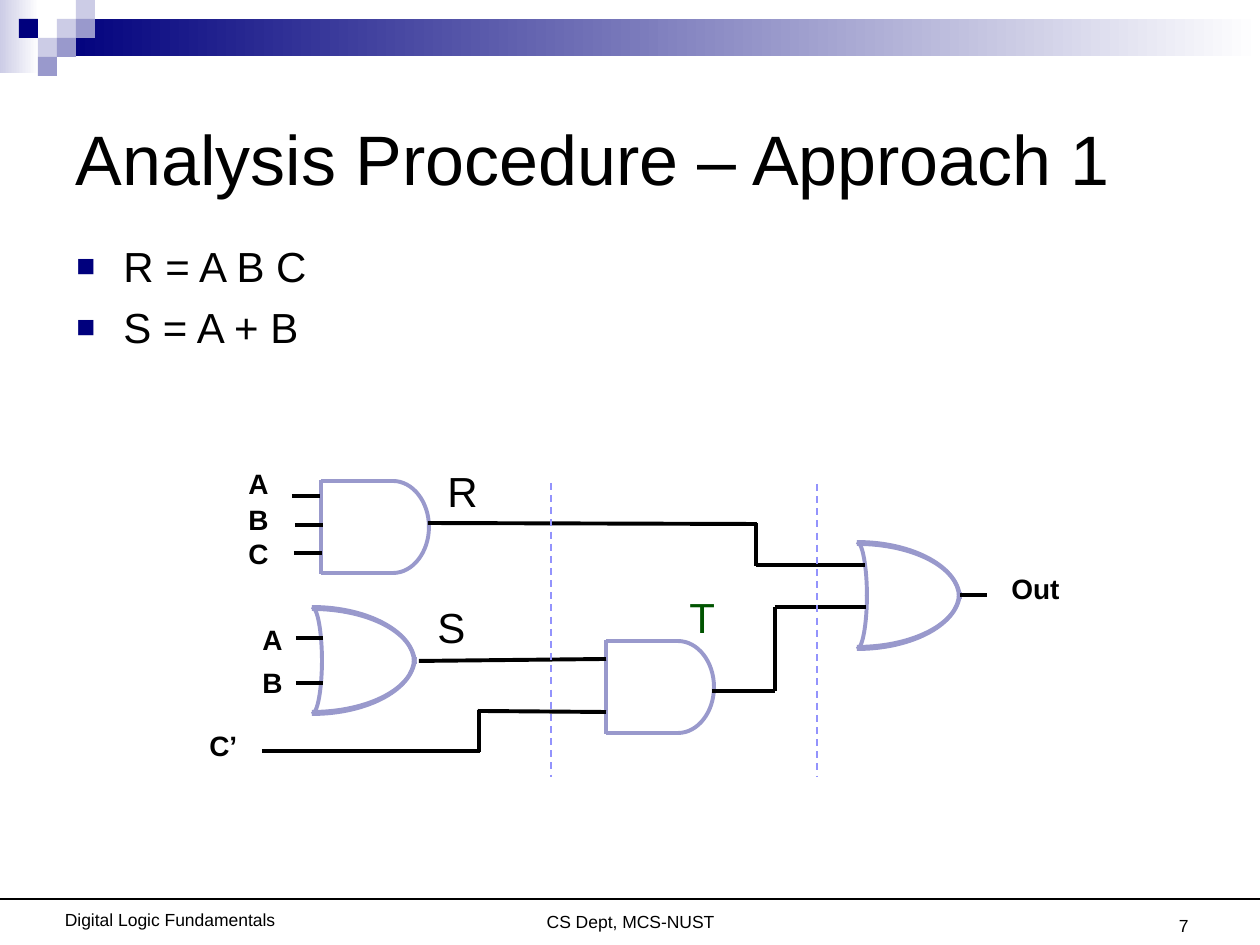
from typing import NamedTuple

import pptx
import pptx.dml.color
import pptx.enum.dml
import pptx.enum.shapes
import pptx.enum.text
import pptx.oxml
import pptx.oxml.ns
import pptx.util

EMU_PER_PX = 914400 / 126
FONT = "Arial"
COLORS = {
    "ink": "000000",
    "paper": "FFFFFF",
    "navy": "00007D",
    "lavender": "CCCCE6",
    "gate": "9999CC",
    "stage": "9393FC",
    "green": "005400",
}
ALIGN = pptx.enum.text.PP_ALIGN
ANCHOR = pptx.enum.text.MSO_ANCHOR
TILE = 19
CURVATURE = 0.55
OR_HEIGHT = 107
AND_WIDTH, AND_HEIGHT, AND_FLAT = 108, 92, 72


class Tile(NamedTuple):
    column: int
    row: int
    color: str


class Band(NamedTuple):
    left: int
    top: int
    width: int
    height: int
    start: str


class Wire(NamedTuple):
    x1: int
    y1: int
    x2: int
    y2: int
    color: str = "ink"
    weight: float = 2.25
    dashed: bool = False


class Arc(NamedTuple):
    left: int
    top: int
    width: int
    height: int
    upper: bool


class Label(NamedTuple):
    text: str
    left: int
    top: int
    width: int
    height: int
    size: int = 16
    bold: bool = True
    color: str = "ink"
    align: ALIGN = ALIGN.LEFT
    anchor: ANCHOR = ANCHOR.TOP
    wrap: bool = False
    inset_top: int = 6


TILES = [
    Tile(3, 1, "lavender"), Tile(4, 0, "lavender"), Tile(4, 1, "gate"),
    Tile(2, 2, "lavender"), Tile(1, 1, "navy"), Tile(3, 2, "gate"),
    Tile(2, 3, "gate"),
]
BANDS = [Band(0, 0, 39, 73, "lavender"), Band(57, 19, 1203, 37, "navy")]
OR_GATES = [(857, 542), (312, 607)]
AND_GATES = [(606, 641), (321, 481)]
WIRES = [
    Wire(0, 899, 1260, 899, weight=0.75),
    Wire(960, 595, 987, 595),
    Wire(292, 496, 320, 496), Wire(295, 525, 323, 525), Wire(294, 553, 322, 553),
    Wire(296, 638, 323, 638), Wire(296, 683, 323, 683),
    Wire(262, 751, 480, 751), Wire(479, 752, 479, 710), Wire(478, 711, 606, 712),
    Wire(419, 661, 606, 659),
    Wire(428, 523, 757, 524), Wire(756, 523, 756, 566), Wire(756, 565, 865, 565),
    Wire(712, 691, 775, 691), Wire(775, 691, 775, 607), Wire(775, 607, 866, 607),
    Wire(551, 483, 551, 777, "stage", 1, True),
    Wire(817, 484, 817, 777, "stage", 1, True),
]
LABELS = [
    Label("A", 236, 461, 45, 47), Label("B", 236, 497, 45, 47),
    Label("C", 236, 531, 45, 47), Label("A", 250, 617, 45, 47),
    Label("B", 250, 659, 45, 47), Label("C’", 197, 723, 53, 47),
    Label("Out", 999, 566, 73, 47),
    Label("R", 435, 460, 55, 63, 24, False),
    Label("S", 425, 596, 53, 63, 24, False),
    Label("T", 677, 586, 50, 63, 24, False, "green"),
    Label("CS Dept, MCS-NUST", 368, 863, 525, 63, 10, False,
          align=ALIGN.CENTER, wrap=True, inset_top=48),
    Label("Digital Logic Fundamentals", 44, 861, 252, 63, 10, False,
          align=ALIGN.CENTER, wrap=True, inset_top=48),
    Label("7", 907, 879, 294, 63, 10, False,
          align=ALIGN.RIGHT, anchor=ANCHOR.BOTTOM, wrap=True),
]
EQUATIONS = ["R = A B C", "S = A + B"]


def px(*lengths: float) -> list[int]:
    return [round(length * EMU_PER_PX) for length in lengths]


def rgb(name: str) -> pptx.dml.color.RGBColor:
    return pptx.dml.color.RGBColor.from_string(COLORS[name])


def style_text(paragraph, size: int, color: str = "ink", bold: bool = False) -> None:
    for run in paragraph.runs:
        run.font.name = FONT
        run.font.size = pptx.util.Pt(size)
        run.font.bold = bold
        run.font.color.rgb = rgb(color)


def draw_block(slide, left: int, top: int, width: int, height: int):
    block = slide.shapes.add_shape(
        pptx.enum.shapes.MSO_SHAPE.RECTANGLE, *px(left, top, width, height))
    block.shadow.inherit = False
    block.line.fill.background()
    return block


def draw_band(slide, band: Band) -> None:
    fill = draw_block(slide, *band[:4]).fill
    fill.gradient()
    fill.gradient_angle = 0
    for stop, color, position in zip(fill.gradient_stops, (band.start, "paper"), (0, 1)):
        stop.color.rgb = rgb(color)
        stop.position = position


def draw_tile(slide, tile: Tile) -> None:
    fill = draw_block(slide, tile.column * TILE, tile.row * TILE, TILE, TILE).fill
    fill.solid()
    fill.fore_color.rgb = rgb(tile.color)


def draw_wire(slide, wire: Wire) -> None:
    connector = slide.shapes.add_connector(
        pptx.enum.shapes.MSO_CONNECTOR.STRAIGHT, *px(*wire[:4]))
    connector.line.color.rgb = rgb(wire.color)
    connector.line.width = pptx.util.Pt(wire.weight)
    if wire.dashed:
        connector.line.dash_style = pptx.enum.dml.MSO_LINE.DASH
    connector._element.spPr.append(pptx.oxml.parse_xml(
        f'<a:effectLst {pptx.oxml.ns.nsdecls("a")}/>'))


def draw_arc(slide, arc: Arc) -> None:
    profile = [(0, 0), (CURVATURE, 0), (1, 1 - CURVATURE), (1, 1)]
    points = [px(arc.left + arc.width * x,
                 arc.top + arc.height * (y if arc.upper else 1 - y)) for x, y in profile]
    builder = slide.shapes.build_freeform(*points[0])
    builder.add_line_segments(points[1:], close=False)
    curve = builder.convert_to_shape()
    bezier = pptx.oxml.parse_xml(f'<a:cubicBezTo {pptx.oxml.ns.nsdecls("a")}/>')
    segments = list(curve._element.iter(pptx.oxml.ns.qn("a:lnTo")))
    segments[0].addprevious(bezier)
    for segment in segments:
        bezier.append(segment[0])
        segment.getparent().remove(segment)
    curve.shadow.inherit = False
    curve.fill.background()
    curve.line.color.rgb = rgb("gate")
    curve.line.width = pptx.util.Pt(2.25)


def draw_or_gate(slide, left: int, top: int) -> None:
    for inset, width, height in [(2, 102, 53), (0, 103, 57), (0, 10, 55)]:
        draw_arc(slide, Arc(left, top + inset, width, height, True))
        lower_top = top + OR_HEIGHT - inset - height
        draw_arc(slide, Arc(left, lower_top, width, height, False))


def draw_and_gate(slide, left: int, top: int) -> None:
    bottom, shoulder = top + AND_HEIGHT, left + AND_FLAT
    for y in (top, bottom):
        draw_wire(slide, Wire(left, y, shoulder, y, "gate"))
    draw_wire(slide, Wire(left, bottom + 1, left, top - 1, "gate"))
    half = AND_HEIGHT // 2
    for y, upper in [(top, True), (top + half, False)]:
        draw_arc(slide, Arc(shoulder, y, AND_WIDTH - AND_FLAT, half, upper))


def draw_label(slide, label: Label) -> None:
    frame = slide.shapes.add_textbox(*px(*label[1:5])).text_frame
    frame.word_wrap = label.wrap
    frame.vertical_anchor = label.anchor
    frame.margin_top = px(label.inset_top)[0]
    frame.text = label.text
    frame.paragraphs[0].alignment = label.align
    style_text(frame.paragraphs[0], label.size, label.color, label.bold)


def write_title(slide) -> None:
    title = slide.shapes.title
    title.left, title.top, title.width, title.height = px(63, 63, 1134, 189)
    frame = title.text_frame
    frame.text = "Analysis Procedure – Approach 1"
    frame.vertical_anchor = ANCHOR.MIDDLE
    frame.paragraphs[0].alignment = ALIGN.LEFT
    style_text(frame.paragraphs[0], 40)


def write_equations(slide) -> None:
    frame = slide.shapes.add_textbox(*px(64, 234, 1157, 535)).text_frame
    frame.word_wrap = True
    frame.text = "\n".join(EQUATIONS)
    indent = px(47)[0]
    namespace = pptx.oxml.ns.nsdecls("a")
    for index, paragraph in enumerate(frame.paragraphs):
        properties = paragraph._p.get_or_add_pPr()
        properties.set("marL", str(indent))
        properties.set("indent", str(-indent))
        for bullet in (f'<a:buClr {namespace}><a:srgbClr val="{COLORS["navy"]}"/></a:buClr>',
                       f'<a:buSzPct {namespace} val="75000"/>',
                       f'<a:buFont {namespace} typeface="{FONT}"/>',
                       f'<a:buChar {namespace} char="■"/>'):
            properties.append(pptx.oxml.parse_xml(bullet))
        if index:
            paragraph.space_before = pptx.util.Pt(6)
        style_text(paragraph, 24)


def main() -> None:
    deck = pptx.Presentation()
    deck.slide_width, deck.slide_height = px(1260, 945)
    slide = deck.slides.add_slide(deck.slide_layouts.get_by_name("Title Only"))
    for draw, parts in [(draw_band, BANDS), (draw_tile, TILES)]:
        for part in parts:
            draw(slide, part)
    write_title(slide)
    write_equations(slide)
    for draw_gate, corners in [(draw_or_gate, OR_GATES), (draw_and_gate, AND_GATES)]:
        for corner in corners:
            draw_gate(slide, *corner)
    for draw, parts in [(draw_wire, WIRES), (draw_label, LABELS)]:
        for part in parts:
            draw(slide, part)
    deck.save("out.pptx")


if __name__ == "__main__":
    main()
